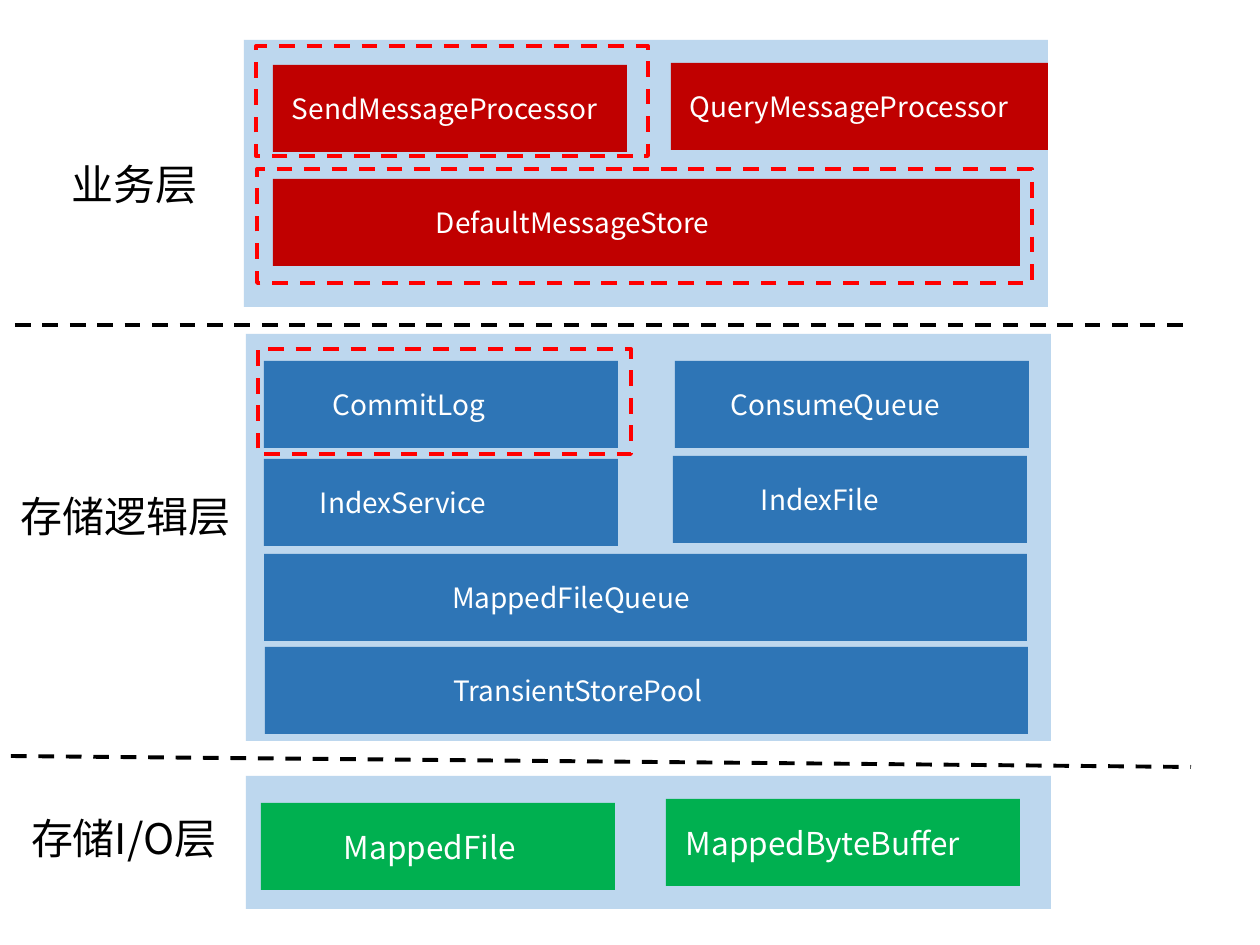
import pptx
import pptx.util
import pptx.dml.color
import pptx.enum.dml
import pptx.enum.shapes
import pptx.enum.text
import pptx.oxml
import pptx.oxml.ns
from dataclasses import dataclass

PIXEL = 914400 / 126


@dataclass(frozen=True)
class Theme:
    font: str = "Noto Sans CJK SC"
    panel: str = "BDD7EE"
    business: str = "C00000"
    logic: str = "2E75B6"
    storage: str = "00B050"
    highlight: str = "FF0000"
    ink: str = "000000"
    light: str = "FFFFFF"
    label_size: int = 24
    block_size: int = 16
    storage_size: int = 18
    line_width: float = 2.25


def px(value):
    return pptx.util.Emu(round(value * PIXEL))


def rgb(value):
    return pptx.dml.color.RGBColor.from_string(value)


class LayerSlide:
    def __init__(self, deck, theme):
        self.theme = theme
        self.shapes = deck.slides.add_slide(deck.slide_layouts[6]).shapes

    def dash(self, line, color):
        line.color.rgb = rgb(color)
        line.width = pptx.util.Pt(self.theme.line_width)
        line.dash_style = pptx.enum.dml.MSO_LINE.DASH

    def set_text(self, box, text, size, color):
        para = box.text_frame.paragraphs[0]
        para.text = text
        for span in para.runs:
            span.font.name = self.theme.font
            span.font.size = pptx.util.Pt(size)
            span.font.color.rgb = rgb(color)
            east_asian = pptx.oxml.parse_xml(
                f'<a:ea {pptx.oxml.ns.nsdecls("a")} typeface="{self.theme.font}"/>')
            span.font._element.append(east_asian)
        return para

    def rectangle(self, left, top, width, height, fill):
        box = self.shapes.add_shape(
            pptx.enum.shapes.MSO_SHAPE.RECTANGLE,
            px(left), px(top), px(width), px(height))
        box.shadow.inherit = False
        box.fill.solid()
        box.fill.fore_color.rgb = rgb(fill)
        box.line.fill.background()
        return box

    def panel(self, left, top, width, height):
        self.rectangle(left, top, width, height, self.theme.panel)

    def highlight(self, left, top, width, height):
        box = self.rectangle(left, top, width, height, self.theme.panel)
        self.dash(box.line, self.theme.highlight)

    def block(self, text, left, top, width, indent, fill, size):
        box = self.rectangle(left, top, width, BLOCK_HEIGHT, fill)
        frame = box.text_frame
        frame.word_wrap = True
        frame.margin_left = px(indent)
        frame.vertical_anchor = pptx.enum.text.MSO_ANCHOR.MIDDLE
        para = self.set_text(box, text, size, self.theme.light)
        para.alignment = pptx.enum.text.PP_ALIGN.JUSTIFY

    def divider(self, left, start_y, right, end_y):
        line = self.shapes.add_connector(
            pptx.enum.shapes.MSO_CONNECTOR.STRAIGHT,
            px(left), px(start_y), px(right), px(end_y))
        self.dash(line.line, self.theme.ink)
        effects = pptx.oxml.parse_xml(f'<a:effectLst {pptx.oxml.ns.nsdecls("a")}/>')
        line._element.spPr.append(effects)

    def label(self, text, left, top, width):
        box = self.shapes.add_textbox(px(left), px(top), px(width), px(LABEL_HEIGHT))
        frame = box.text_frame
        frame.word_wrap = True
        frame.margin_left = frame.margin_right = px(6)
        frame.margin_top = frame.margin_bottom = px(6)
        self.set_text(box, text, self.theme.label_size, self.theme.ink)


BLOCK_HEIGHT = 87
LABEL_HEIGHT = 63
HALF = 354
FULL = 763

PANELS = [(244, 40, 804, 267), (246, 334, 805, 407), (246, 776, 805, 133)]
HIGHLIGHTS = [(256, 46, 392, 110), (257, 169, 775, 114), (258, 349, 373, 105)]
BUSINESS_BLOCKS = [
    ("SendMessageProcessor", 273, 65, HALF, 19),
    ("QueryMessageProcessor", 671, 63, 377, 19),
    ("DefaultMessageStore", 273, 179, 747, 163),
]
LOGIC_BLOCKS = [
    ("CommitLog", 264, 361, HALF, 69),
    ("ConsumeQueue", 675, 361, HALF, 56),
    ("IndexService", 264, 459, HALF, 56),
    ("IndexFile", 673, 456, HALF, 88),
    ("MappedFileQueue", 264, 554, FULL, 188),
    ("TransientStorePool", 265, 647, FULL, 188),
]
STORAGE_BLOCKS = [
    ("MappedFile", 261, 803, HALF, 83),
    ("MappedByteBuffer", 666, 799, HALF, 20),
]
DIVIDERS = [(15, 325, 1191, 325), (11, 756, 1191, 767)]
LABELS = [("业务层", 66, 153, 140), ("存储逻辑层", 15, 485, 225), ("存储I/O层", 25, 807, 205)]

deck = pptx.Presentation()
deck.slide_width = px(1260)
deck.slide_height = px(945)
theme = Theme()
page = LayerSlide(deck, theme)

for area in PANELS:
    page.panel(*area)
for area in HIGHLIGHTS:
    page.highlight(*area)
for blocks, fill, size in [
    (BUSINESS_BLOCKS, theme.business, theme.block_size),
    (LOGIC_BLOCKS, theme.logic, theme.block_size),
    (STORAGE_BLOCKS, theme.storage, theme.storage_size),
]:
    for block in blocks:
        page.block(*block, fill, size)
for ends in DIVIDERS:
    page.divider(*ends)
for label in LABELS:
    page.label(*label)

deck.save("out.pptx")
